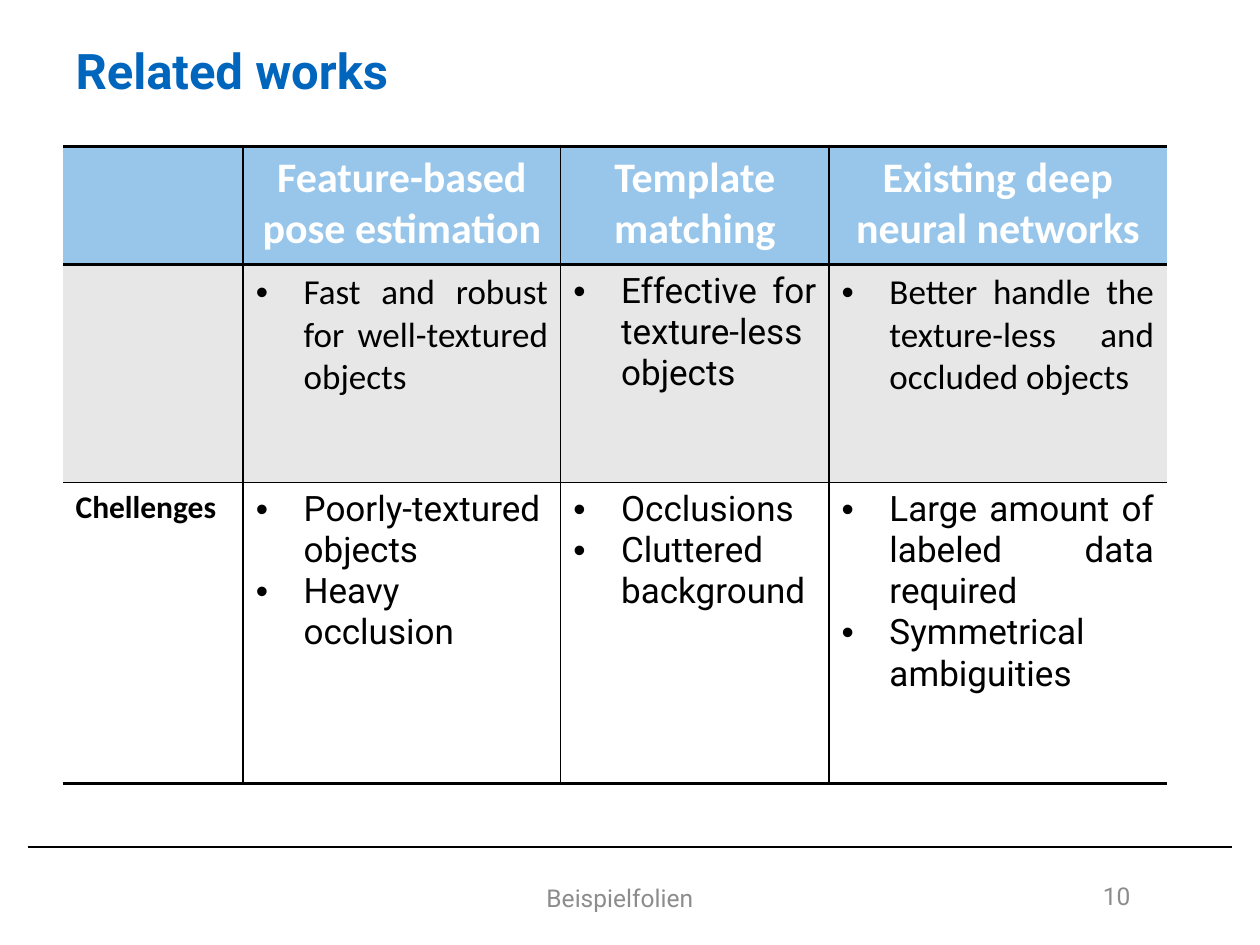
import pptx
import pptx.dml.color
import pptx.enum.text
import pptx.oxml
import pptx.oxml.ns
import pptx.util
from dataclasses import dataclass
from pptx.util import Inches

ALIGN = pptx.enum.text.PP_ALIGN
MIDDLE = pptx.enum.text.MSO_ANCHOR.MIDDLE
NO_FIT = pptx.enum.text.MSO_AUTO_SIZE.NONE
NS = pptx.oxml.ns.nsdecls("a")


@dataclass(frozen=True)
class Theme:
    black: str = "000000"
    white: str = "FFFFFF"
    title_blue: str = "0065BD"
    header_blue: str = "98C6EA"
    band_grey: str = "E7E7E7"
    footer_grey: str = "8C8C8C"
    heading_font: str = "Roboto"
    table_font: str = "Calibri"
    title_size: int = 28
    header_size: int = 24
    body_size: int = 20
    label_size: int = 18
    footer_size: int = 14
    thick: int = 2
    thin: int = 1


theme = Theme()


def write(paragraph, text, font, size, color, align, bold=False):
    run = paragraph.add_run()
    run.text = text
    paragraph.alignment = align
    formats = {"name": font, "size": pptx.util.Pt(size), "bold": bold}
    for attribute, value in formats.items():
        setattr(run.font, attribute, value)
    run.font.color.rgb = pptx.dml.color.RGBColor.from_string(color)


def set_borders(cell, widths):
    """Draw left, right, top and bottom borders; a width of 0 means no line."""
    for position, (side, width) in enumerate(zip("LRTB", widths)):
        paint = (f'<a:solidFill><a:srgbClr val="{theme.black}"/></a:solidFill>'
                 if width else "<a:noFill/>")
        border = f'<a:ln{side} {NS} w="{pptx.util.Pt(width)}">{paint}</a:ln{side}>'
        cell._tc.get_or_add_tcPr().insert(position, pptx.oxml.parse_xml(border))


deck = pptx.Presentation()
deck.slide_width, deck.slide_height = Inches(10), Inches(7.5)
slide = deck.slides.add_slide(deck.slide_layouts[5])

# Title
title = slide.shapes.title
title_box = {"left": 0.5, "top": 0.16, "width": 7.16, "height": 0.79}
for attribute, value in title_box.items():
    setattr(title, attribute, Inches(value))
title_format = {"auto_size": NO_FIT, "vertical_anchor": MIDDLE, "word_wrap": True}
for attribute, value in title_format.items():
    setattr(title.text_frame, attribute, value)
write(title.text_frame.paragraphs[0], "Related works", theme.heading_font,
      theme.title_size, theme.title_blue, ALIGN.LEFT, bold=True)

# Comparison table: each cell is (font, lines)
calibri, roboto = theme.table_font, theme.heading_font
rows = [
    [(calibri, []),
     (calibri, ["Feature-based pose estimation"]),
     (calibri, ["Template matching"]),
     (calibri, ["Existing deep neural networks"])],
    [(calibri, []),
     (calibri, ["Fast and robust for well-textured objects"]),
     (roboto, ["Effective for texture-less objects"]),
     (calibri, ["Better handle the texture-less and occluded objects"])],
    [(calibri, ["Chellenges"]),
     (roboto, ["Poorly-textured objects", "Heavy occlusion"]),
     (roboto, ["Occlusions", "Cluttered background"]),
     (roboto, ["Large amount of labeled data required", "Symmetrical ambiguities"])],
]
column_widths = [1.43, 2.52, 2.13, 2.68]
row_heights = [0.94, 1.73, 2.39]
row_fills = [theme.header_blue, theme.band_grey, theme.white]
rules = [theme.thick, theme.thick, theme.thin, theme.thick]
dividers = [0, theme.thin, theme.thin, theme.thin, 0]

comparison = slide.shapes.add_table(
    len(rows), len(column_widths), Inches(0.5), Inches(1.16),
    Inches(sum(column_widths)), Inches(sum(row_heights))).table
comparison.first_row = comparison.horz_banding = False
for column, width in zip(comparison.columns, column_widths):
    column.width = Inches(width)
for row, height in zip(comparison.rows, row_heights):
    row.height = Inches(height)

for r, row in enumerate(rows):
    for c, (font, lines) in enumerate(row):
        cell = comparison.cell(r, c)
        cell.fill.solid()
        cell.fill.fore_color.rgb = pptx.dml.color.RGBColor.from_string(row_fills[r])
        set_borders(cell, (dividers[c], dividers[c + 1], rules[r], rules[r + 1]))
        for i, line in enumerate(lines):
            frame = cell.text_frame
            paragraph = frame.add_paragraph() if i else frame.paragraphs[0]
            if r == 0:
                write(paragraph, line, font, theme.header_size, theme.white,
                      ALIGN.CENTER, bold=True)
            elif c == 0:
                write(paragraph, line, font, theme.label_size, theme.black,
                      ALIGN.LEFT, bold=True)
            else:
                write(paragraph, line, font, theme.body_size, theme.black, ALIGN.JUSTIFY)
                properties = paragraph._p.get_or_add_pPr()
                properties.set("marL", str(Inches(0.38)))
                properties.set("indent", str(-Inches(0.38)))
                for bullet in ('buFont {} typeface="Arial"', 'buChar {} char="•"'):
                    properties.append(pptx.oxml.parse_xml(f"<a:{bullet.format(NS)}/>"))

# Footer rule
footer_rule = slide.shapes.add_connector(
    pptx.enum.shapes.MSO_CONNECTOR.STRAIGHT,
    Inches(0.22), Inches(6.72), Inches(9.78), Inches(6.72))
footer_rule.line.width = pptx.util.Pt(theme.thin)
footer_rule.line.color.rgb = pptx.dml.color.RGBColor.from_string(theme.black)
footer_rule._element.spPr.append(pptx.oxml.parse_xml(f"<a:effectLst {NS}/>"))

# Footer text and page number
footers = [
    ("Beispielfolien", (1.69, 6.92, 6.46, 0.41), ALIGN.CENTER),
    ("10", (8.15, 6.91, 0.92, 0.4), ALIGN.RIGHT),
]
for text, box, align in footers:
    footer = slide.shapes.add_textbox(*map(Inches, box)).text_frame
    footer.word_wrap = True
    footer.vertical_anchor = MIDDLE
    write(footer.paragraphs[0], text, theme.heading_font, theme.footer_size,
          theme.footer_grey, align)

deck.save("out.pptx")
